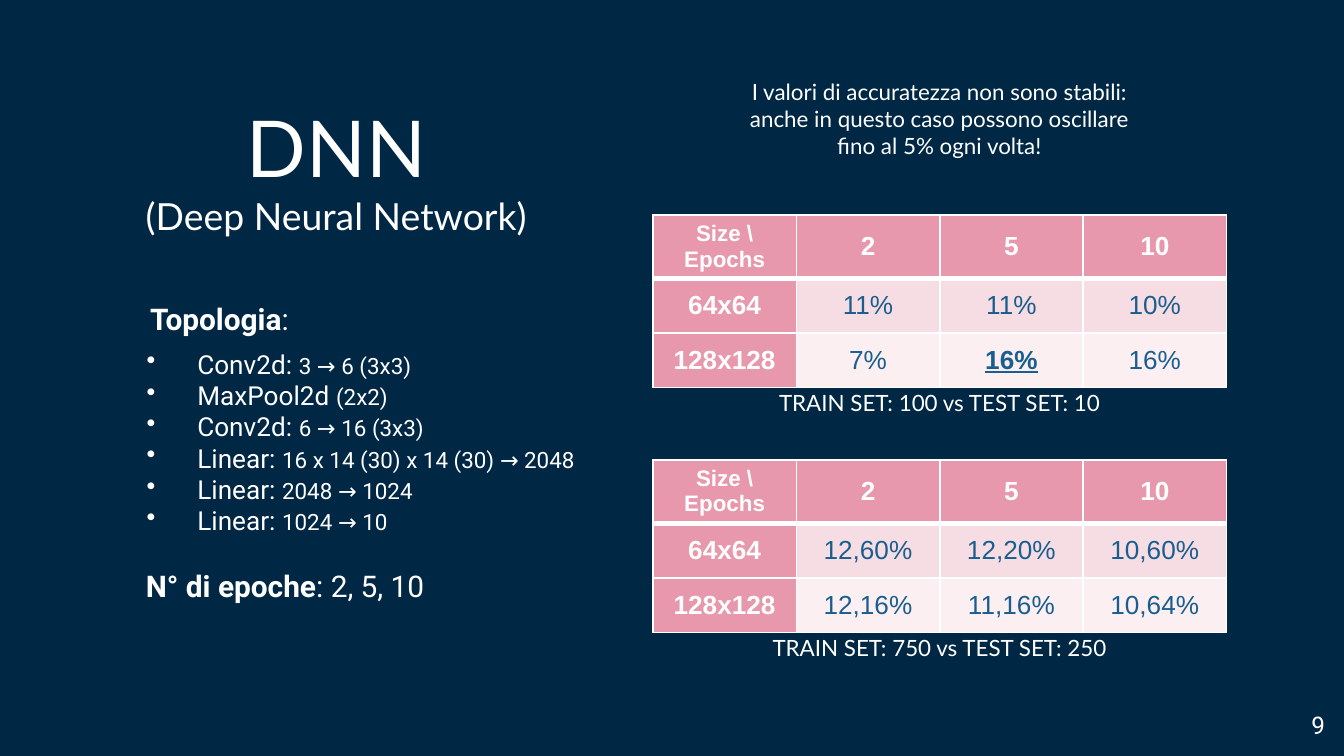
from lxml import etree
from pptx import Presentation
from pptx.dml.color import RGBColor
from pptx.enum import text as t
from pptx.oxml import ns
from pptx.util import Cm, Pt

THEME = {
    "background": "002845", "white": "FFFFFF", "value": "1A5E8F",
    "header": "E898AC", "bands": ("F6DDE3", "FBEFF1"),
    "display": "Lato", "body": "Roboto", "grid": "Arial",
    "name": 42, "subtitle": 20, "heading": 16, "item": 14, "number": 13, "small": 12,
}

TITLE = ("DNN", "(Deep Neural Network)")
TOPOLOGY = [
    ("Conv2d: ", "3 → 6 (3x3)"),
    ("MaxPool2d ", "(2x2)"),
    ("Conv2d: ", "6 → 16 (3x3)"),
    ("Linear: ", "16 x 14 (30) x 14 (30) → 2048"),
    ("Linear: ", "2048 → 1024"),
    ("Linear: ", "1024 → 10"),
]
WARNING = ("I valori di accuratezza non sono stabili: anche in questo caso "
           "possono oscillare fino al 5% ogni volta!")
HEADER = ("Size \\ Epochs", "2", "5", "10")
RESULTS = [
    {"top": 4.06, "caption": "TRAIN SET: 100 vs TEST SET: 10", "best": (2, 2),
     "rows": [("64x64", "11%", "11%", "10%"), ("128x128", "7%", "16%", "16%")]},
    {"top": 8.69, "caption": "TRAIN SET: 750 vs TEST SET: 250", "best": None,
     "rows": [("64x64", "12,60%", "12,20%", "10,60%"),
              ("128x128", "12,16%", "11,16%", "10,64%")]},
]
TABLE_LEFT, COLUMN, ROW = 12.34, 2.71, 1.03
TABLE_WIDTH = COLUMN * len(HEADER)
CAPTION_OFFSET = 3.18


def add_run(paragraph, words, size, face, color="white", **formats):
    run = paragraph.add_run()
    run.text = words
    for name, value in {"size": Pt(THEME[size]), "name": THEME[face], **formats}.items():
        setattr(run.font, name, value)
    run.font.color.rgb = RGBColor.from_string(THEME[color])


def set_frame(frame, inset=None, anchor=t.MSO_ANCHOR.TOP):
    formats = {"word_wrap": True, "auto_size": t.MSO_AUTO_SIZE.NONE, "vertical_anchor": anchor}
    if inset is not None:
        formats.update({f"margin_{side}": Cm(inset) for side in ("left", "top", "right", "bottom")})
    for name, value in formats.items():
        setattr(frame, name, value)
    return frame


def add_text(slide, box, inset=None):
    return set_frame(slide.shapes.add_textbox(*map(Cm, box)).text_frame, inset)


def add_line(slide, box, words, size, face, align=t.PP_ALIGN.CENTER, inset=None):
    paragraph = add_text(slide, box, inset).paragraphs[0]
    paragraph.alignment = align
    add_run(paragraph, words, size, face)


def indent(paragraph, left, first=0, bullet=None):
    properties = paragraph._p.get_or_add_pPr()
    properties.set("marL", str(Cm(left)))
    properties.set("indent", str(Cm(first)))
    if bullet:
        color = etree.SubElement(properties, ns.qn("a:buClr"))
        etree.SubElement(color, ns.qn("a:srgbClr"), val=THEME["white"])
        etree.SubElement(properties, ns.qn("a:buChar"), char=bullet)


def set_borders(cell, widths):
    """Draw white cell borders; widths maps L, R, T, B to points."""
    properties = cell._tc.get_or_add_tcPr()
    for side in "LRTB":
        line = etree.SubElement(properties, ns.qn(f"a:ln{side}"), w=str(Pt(widths[side])))
        fill = etree.SubElement(line, ns.qn("a:solidFill"))
        etree.SubElement(fill, ns.qn("a:srgbClr"), val=THEME["white"])


def add_title(slide):
    title = slide.shapes.title
    title.left, title.top, title.width, title.height = map(Cm, (0.74, 0.64, 11.23, 4.11))
    heading = set_frame(title.text_frame, 0.25, t.MSO_ANCHOR.BOTTOM).paragraphs[0]
    heading.alignment = t.PP_ALIGN.CENTER
    add_run(heading, TITLE[0], "name", "display")
    heading.add_line_break()
    add_run(heading, TITLE[1], "subtitle", "display")


def add_topology(slide):
    frame = add_text(slide, (2.21, 5.44, 9.53, 5.16), 0.25)
    heading = frame.paragraphs[0]
    indent(heading, 0.38)
    heading.space_after = Pt(6)
    add_run(heading, "Topologia", "heading", "body", bold=True)
    add_run(heading, ":", "heading", "body")
    for layer, shape in TOPOLOGY:
        item = frame.add_paragraph()
        indent(item, 1.27, -0.96, "•")
        add_run(item, layer, "item", "body")
        add_run(item, shape, "small", "body")
    epochs = frame.add_paragraph()
    indent(epochs, 0.3)
    epochs.space_before = Pt(17)
    add_run(epochs, "N° di epoche", "heading", "body", bold=True)
    add_run(epochs, ": 2, 5, 10", "heading", "body")


def add_results(slide, result):
    rows = [HEADER, *result["rows"]]
    table = slide.shapes.add_table(
        len(rows), len(HEADER), Cm(TABLE_LEFT), Cm(result["top"]),
        Cm(TABLE_WIDTH), Cm(ROW * len(rows))).table
    for r, row in enumerate(rows):
        for c, words in enumerate(row):
            cell = table.cell(r, c)
            heading, best = r == 0 or c == 0, (r, c) == result["best"]
            set_borders(cell, {"L": 1, "R": 1, "T": 3 if r == 1 else 1, "B": 3 if r == 0 else 1})
            cell.fill.solid()
            shade = THEME["header"] if heading else THEME["bands"][r - 1]
            cell.fill.fore_color.rgb = RGBColor.from_string(shade)
            cell.vertical_anchor = t.MSO_ANCHOR.MIDDLE
            paragraph = cell.text_frame.paragraphs[0]
            paragraph.alignment = t.PP_ALIGN.CENTER
            add_run(paragraph, words, "small" if r == c == 0 else "item", "grid",
                    "white" if heading else "value", bold=heading or best, underline=best)
    add_line(slide, (TABLE_LEFT, result["top"] + CAPTION_OFFSET, TABLE_WIDTH, 0.76),
             result["caption"], "small", "display")


def main():
    deck = Presentation()
    deck.slide_width, deck.slide_height = Cm(25.4), Cm(14.29)
    slide = deck.slides.add_slide(deck.slide_layouts[5])
    slide.background.fill.solid()
    slide.background.fill.fore_color.rgb = RGBColor.from_string(THEME["background"])
    add_title(slide)
    add_topology(slide)
    add_line(slide, (13.87, 1.35, 7.77, 1.8), WARNING, "small", "display")
    for result in RESULTS:
        add_results(slide, result)
    add_line(slide, (23.77, 13.18, 1.52, 1.09), "9", "number", "body", t.PP_ALIGN.RIGHT, 0.25)
    deck.save("out.pptx")


if __name__ == "__main__":
    main()
